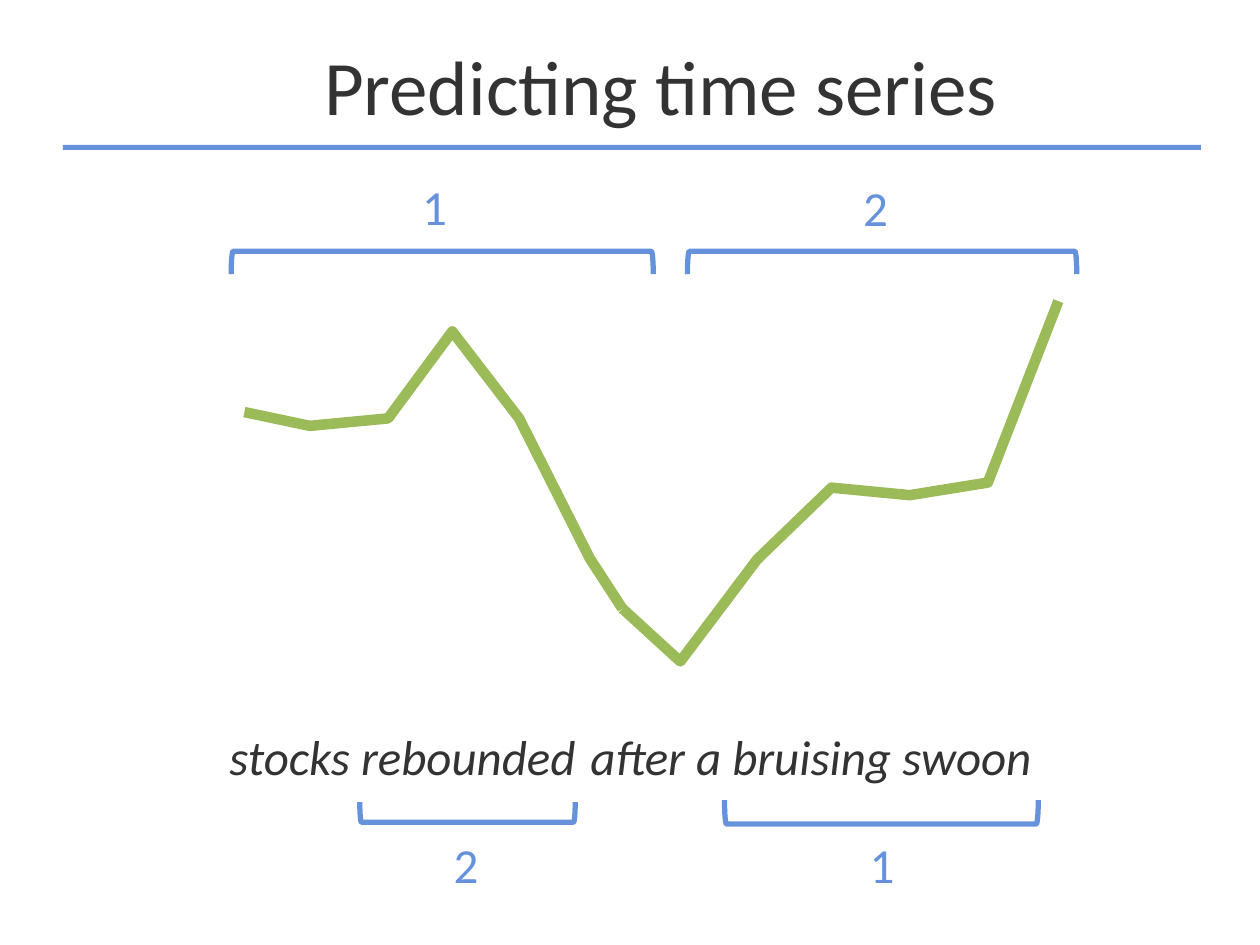
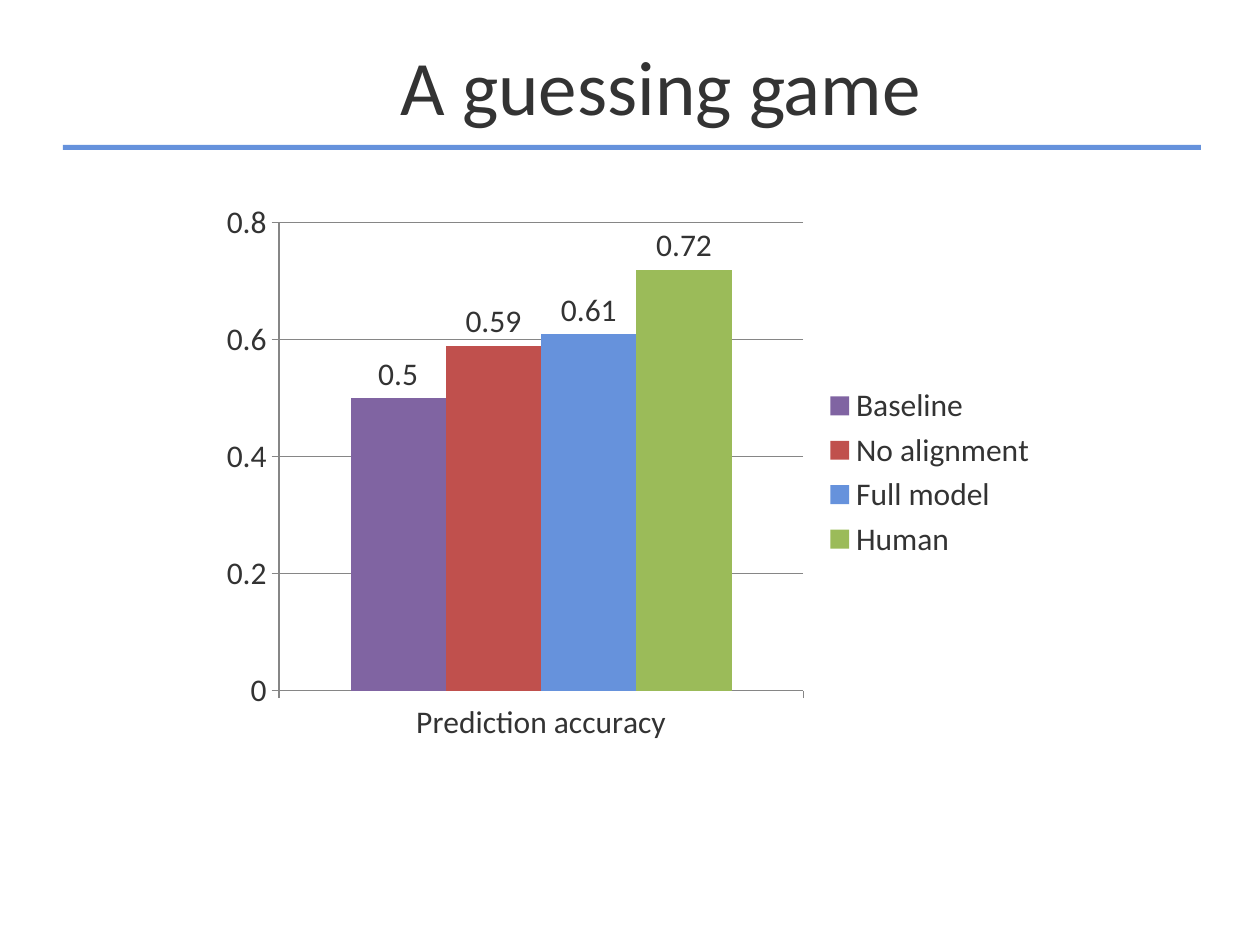
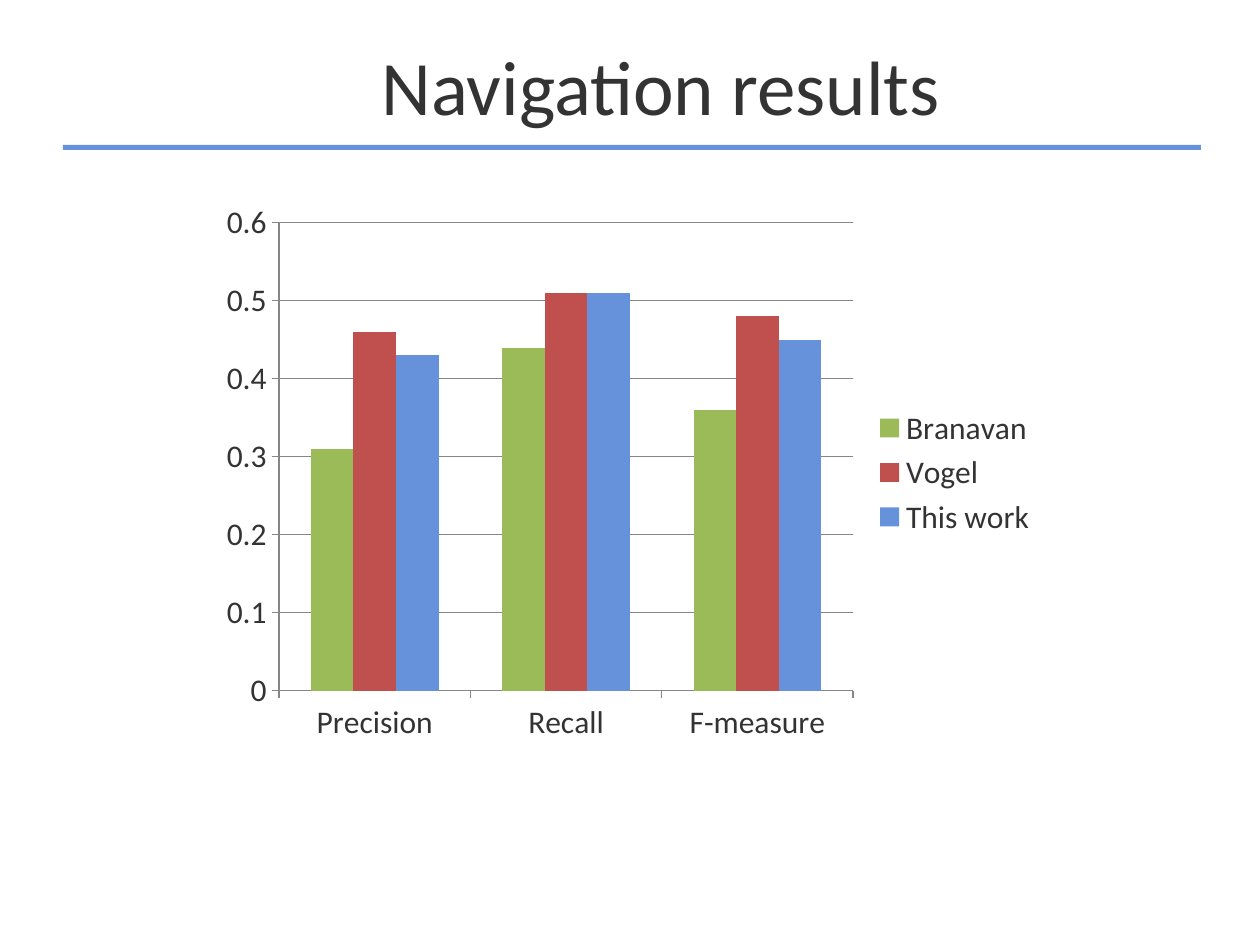
from pptx import Presentation
from pptx import util as u
from pptx.chart import data
from pptx.dml import color
from pptx.enum import chart as ch, shapes, text

FONT = "Calibri"
INK, BLUE, GREEN, RED, PURPLE = "333333", "6692DC", "9BBB59", "C0504D", "8064A2"
GREY = "868686"
TITLE_BOX = (95.8, 8.6, 563.8, 79.2)
RULE_BOX = (36, 82.8, 650.2, 2.9)
CHART_BOX = (120, 110, 480, 320)
TREND_BOX = (139.7, 172.1)
FALL = [(0, 63.4), (37.4, 71.3), (82.1, 67), (118.8, 17.3), (157, 67),
        (197.3, 146.9), (216, 175.7)]
RISE = [(216, 175.7), (249.1, 205.9), (293, 147.6), (335.5, 106.6),
        (380.2, 110.9), (424.8, 103.7), (465.1, 0)]


def rgb(value):
    """Turn a hex string into a colour."""
    return color.RGBColor.from_string(value)


def pts(*lengths):
    """Turn numbers into lengths in points."""
    return [u.Pt(n) for n in lengths]


def style_font(font, size, ink=INK, italic=None):
    """Give a font the deck's face with a size and colour."""
    font.name, font.size, font.italic = FONT, u.Pt(size), italic
    font.color.rgb = rgb(ink)


def style_line(line, ink, width):
    """Set a line's colour and width."""
    line.color.rgb = rgb(ink)
    line.width = u.Pt(width)


def add_text(s, box, words, size, ink=INK, italic=None, anchor=text.MSO_ANCHOR.TOP):
    """Add one centred paragraph in a box."""
    tf = s.shapes.add_textbox(*pts(*box)).text_frame
    tf.word_wrap, tf.vertical_anchor = True, anchor
    tf.text = words
    p = tf.paragraphs[0]
    p.alignment = text.PP_ALIGN.CENTER
    style_font(p.runs[0].font, size, ink, italic)


def add_titled_slide(prs, title):
    """Add a slide with the shared rule and title."""
    s = prs.slides.add_slide(prs.slide_layouts[6])
    rule = s.shapes.add_shape(shapes.MSO_SHAPE.RECTANGLE, *pts(*RULE_BOX))
    rule.shadow.inherit = False
    rule.fill.solid()
    rule.fill.fore_color.rgb = rgb(BLUE)
    rule.line.fill.background()
    add_text(s, TITLE_BOX, title, 44, anchor=text.MSO_ANCHOR.MIDDLE)
    return s


def add_trend(s, origin, points):
    """Draw an open line through points relative to an origin."""
    left, top = origin
    path = [pts(left + x, top + y) for x, y in points]
    builder = s.shapes.build_freeform(*path[0])
    builder.add_line_segments(path[1:], close=False)
    sp = builder.convert_to_shape()
    sp.shadow.inherit = False
    sp.fill.background()
    style_line(sp.line, GREEN, 6)


def add_bracket(s, box, rotation):
    """Draw a left bracket turned to lie along a wide box."""
    x, y, w, h = box
    sp = s.shapes.add_shape(shapes.MSO_SHAPE.LEFT_BRACKET,
                            *pts(x + (w - h) / 2, y + (h - w) / 2, h, w))
    sp.rotation = rotation
    sp.shadow.inherit = False
    sp.fill.background()
    style_line(sp.line, BLUE, 3)


def add_series_slide(prs):
    """Build the slide that matches phrases to parts of a trend."""
    s = add_titled_slide(prs, "Predicting time series")
    add_text(s, (109.4, 411.5, 241.2, 59.8), "stocks rebounded", 28, italic=True)
    add_text(s, (319, 411.8, 288.7, 46.8), "after a bruising swoon", 28, italic=True)
    for points in (FALL, RISE):
        add_trend(s, TREND_BOX, points)
    marks = [("2", (205.6, 458.3, 123.1, 11.5), 270, 244.8, 473.4),
             ("1", (414, 457.2, 179.3, 13.7), 270, 482.4, 473.4),
             ("2", (392.8, 143.6, 222.5, 13), 90, 478.8, 97.9),
             ("1", (132.1, 143.6, 241.2, 13), 90, 226.8, 97.2)]
    for label, box, rotation, x, y in marks:
        add_bracket(s, box, rotation)
        add_text(s, (x, y, 43.2, 45.4), label, 28, BLUE)


def add_chart_slide(prs, title, categories, series, top, step, labels=False):
    """Build a slide with a clustered column chart."""
    s = add_titled_slide(prs, title)
    cd = data.CategoryChartData()
    cd.categories = categories
    for name, values, _ in series:
        cd.add_series(name, values)
    chart = s.shapes.add_chart(ch.XL_CHART_TYPE.COLUMN_CLUSTERED,
                               *pts(*CHART_BOX), cd).chart
    style_font(chart.font, 18)
    chart.has_title = False
    chart.has_legend = True
    chart.legend.position = ch.XL_LEGEND_POSITION.RIGHT
    chart.legend.include_in_layout = False
    axis = chart.value_axis
    axis.minimum_scale, axis.maximum_scale, axis.major_unit = 0, top, step
    style_line(axis.major_gridlines.format.line, GREY, 0.75)
    for ax in (axis, chart.category_axis):
        ax.major_tick_mark = ch.XL_TICK_MARK.OUTSIDE
        style_line(ax.format.line, GREY, 0.75)
    plot = chart.plots[0]
    plot.gap_width, plot.vary_by_categories = 150, False
    for bar, (_, _, fill) in zip(plot.series, series):
        bar.format.fill.solid()
        bar.format.fill.fore_color.rgb = rgb(fill)
        if labels:
            bar.data_labels.show_value = True
            bar.data_labels.position = ch.XL_LABEL_POSITION.OUTSIDE_END


def main():
    """Build and save the deck."""
    prs = Presentation()
    prs.slide_width, prs.slide_height = pts(720, 540)
    add_series_slide(prs)
    add_chart_slide(prs, "A guessing game", ["Prediction accuracy"],
                    [("Baseline", [0.5], PURPLE), ("No alignment", [0.59], RED),
                     ("Full model", [0.61], BLUE), ("Human", [0.72], GREEN)],
                    0.8, 0.2, labels=True)
    add_chart_slide(prs, "Navigation results", ["Precision", "Recall", "F-measure"],
                    [("Branavan", [0.31, 0.44, 0.36], GREEN),
                     ("Vogel", [0.46, 0.51, 0.48], RED),
                     ("This work", [0.43, 0.51, 0.45], BLUE)], 0.6, 0.1)
    prs.save("out.pptx")


if __name__ == "__main__":
    main()
